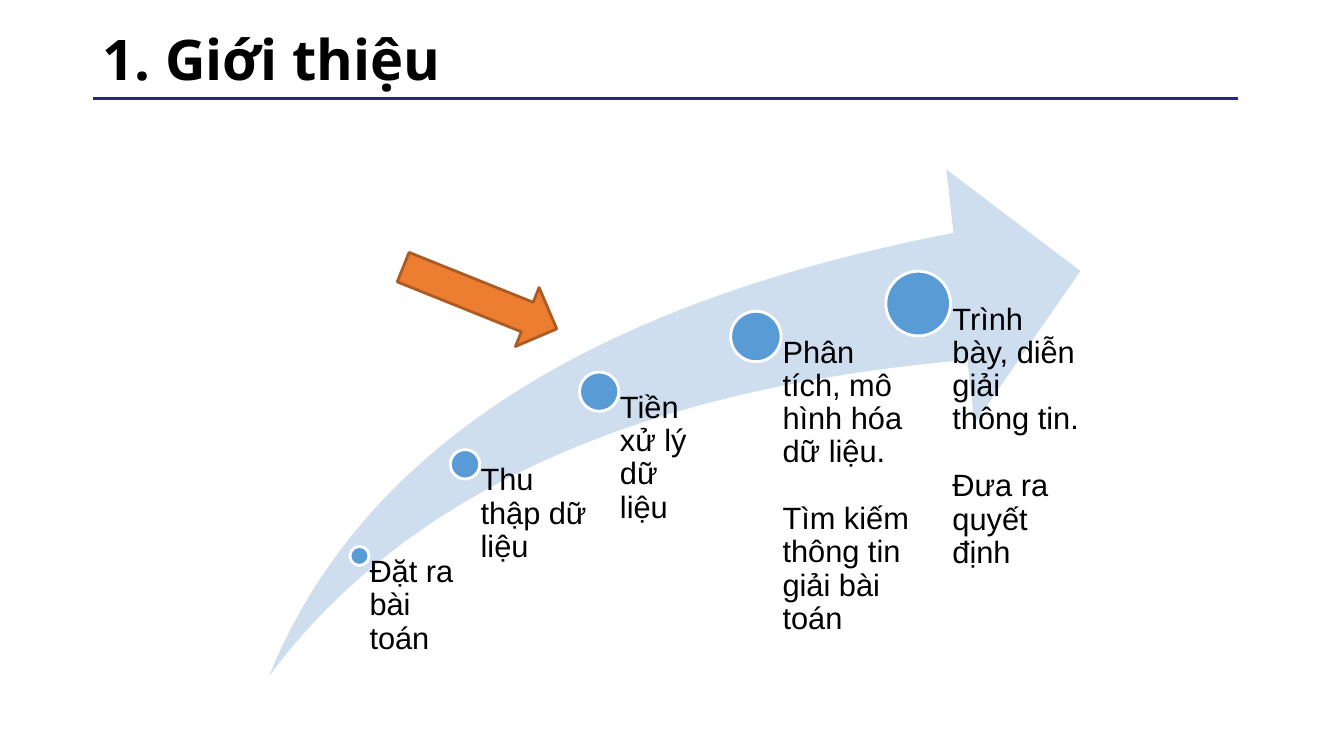
from dataclasses import dataclass

from lxml.etree import SubElement
from pptx import Presentation
from pptx.dml.color import RGBColor as Rgb
from pptx.enum.shapes import MSO_CONNECTOR as Connector, MSO_SHAPE as Preset
from pptx.enum.text import MSO_ANCHOR as Anchor
from pptx.oxml.ns import qn
from pptx.util import Cm, Pt


@dataclass(frozen=True)
class Theme:
    text: Rgb = Rgb.from_string("000000")
    rule: Rgb = Rgb.from_string("272780")
    pointer: Rgb = Rgb.from_string("ED7D31")
    pointer_edge: Rgb = Rgb.from_string("AC5B23")
    path_fill: Rgb = Rgb.from_string("CFDEEF")
    dot: Rgb = Rgb.from_string("599BD5")
    dot_edge: Rgb = Rgb.from_string("FFFFFF")
    title_font: str = "Open Sans"
    body_font: str = "Arial"
    title_size: Pt = Pt(40)
    body_size: Pt = Pt(22)
    stroke: Pt = Pt(2)
    paragraph_gap: Pt = Pt(24)


theme = Theme()


def paint(shape, fill, edge=None):
    shape.shadow.inherit = False
    shape.fill.solid()
    shape.fill.fore_color.rgb = fill
    if edge is None:
        shape.line.fill.background()
    else:
        shape.line.color.rgb = edge
        shape.line.width = theme.stroke


def write(frame, paragraphs, font, size, bold=False):
    frame.word_wrap = True
    for index, words in enumerate(paragraphs):
        paragraph = frame.paragraphs[0] if index == 0 else frame.add_paragraph()
        paragraph.line_spacing = 0.9
        if index:
            paragraph.space_before = theme.paragraph_gap
        run = paragraph.add_run()
        run.text = words
        run.font.name = font
        run.font.size = size
        run.font.bold = bold
        run.font.color.rgb = theme.text


presentation = Presentation()
presentation.slide_width = Cm(33.87)
presentation.slide_height = Cm(19.05)
slide = presentation.slides.add_slide(presentation.slide_layouts[6])

title_rule = slide.shapes.add_connector(
    Connector.STRAIGHT, Cm(31.19), Cm(2.49), Cm(2.34), Cm(2.49))
title_rule.line.color.rgb = theme.rule
title_rule.line.width = theme.stroke
SubElement(title_rule._element.spPr, qn("a:effectLst"))

title = slide.shapes.add_textbox(Cm(2.34), Cm(0.43), Cm(29.21), Cm(2.26))
title.text_frame.vertical_anchor = Anchor.MIDDLE
write(title.text_frame, ["1. Giới thiệu"], theme.title_font, theme.title_size, True)

pointer = slide.shapes.add_shape(
    Preset.RIGHT_ARROW, Cm(10.01), Cm(6.71), Cm(4.17), Cm(1.6))
pointer.rotation = 21.9
paint(pointer, theme.pointer, theme.pointer_edge)

process = slide.shapes.add_group_shape().shapes

tail = (6.78, 17.04)
upper_edge = (tail, (9.07, 11.38), (14.81, 7.65), (24.03, 5.87))
arrowhead = [(23.85, 4.27), (27.23, 6.83), (24.56, 10.67)]
lower_edge = ((24.38, 9.07), (16.05, 9.78), (10.19, 12.45), tail)
curve_steps = 40

curves = []
for edge in (upper_edge, lower_edge):
    points = []
    for step in range(curve_steps + 1):
        t = step / curve_steps
        weights = ((1 - t) ** 3, 3 * t * (1 - t) ** 2, 3 * t ** 2 * (1 - t), t ** 3)
        points.append(tuple(
            sum(weight * control[axis] for weight, control in zip(weights, edge))
            for axis in (0, 1)))
    curves.append(points)

outline = curves[0][1:] + arrowhead + curves[1][:-1]
builder = process.build_freeform(Cm(tail[0]), Cm(tail[1]))
builder.add_line_segments([(Cm(x), Cm(y)) for x, y in outline], close=True)
paint(builder.convert_to_shape(), theme.path_fill)

stages = [
    (9.06, 14.01, 0.48, 2.67, ["Đặt ra bài toán"]),
    (11.72, 11.7, 0.74, 3.4, ["Thu thập dữ liệu"]),
    (15.1, 9.87, 0.99, 2.67, ["Tiền xử lý dữ liệu"]),
    (19.05, 8.48, 1.27, 4.09,
     ["Phân tích, mô hình hóa dữ liệu.", "Tìm kiếm thông tin giải bài toán"]),
    (23.14, 7.65, 1.63, 4.09,
     ["Trình bày, diễn giải thông tin.", "Đưa ra quyết định"]),
]
label_bottom = 17.06

for center_x, center_y, diameter, label_width, words in stages:
    dot = process.add_shape(
        Preset.OVAL, Cm(center_x - diameter / 2), Cm(center_y - diameter / 2),
        Cm(diameter), Cm(diameter))
    paint(dot, theme.dot, theme.dot_edge)

    label = process.add_textbox(
        Cm(center_x), Cm(center_y), Cm(label_width), Cm(label_bottom - center_y))
    frame = label.text_frame
    frame.margin_left = Cm(0.53 * diameter)
    frame.margin_top = frame.margin_right = frame.margin_bottom = 0
    write(frame, words, theme.body_font, theme.body_size)

presentation.save("out.pptx")
